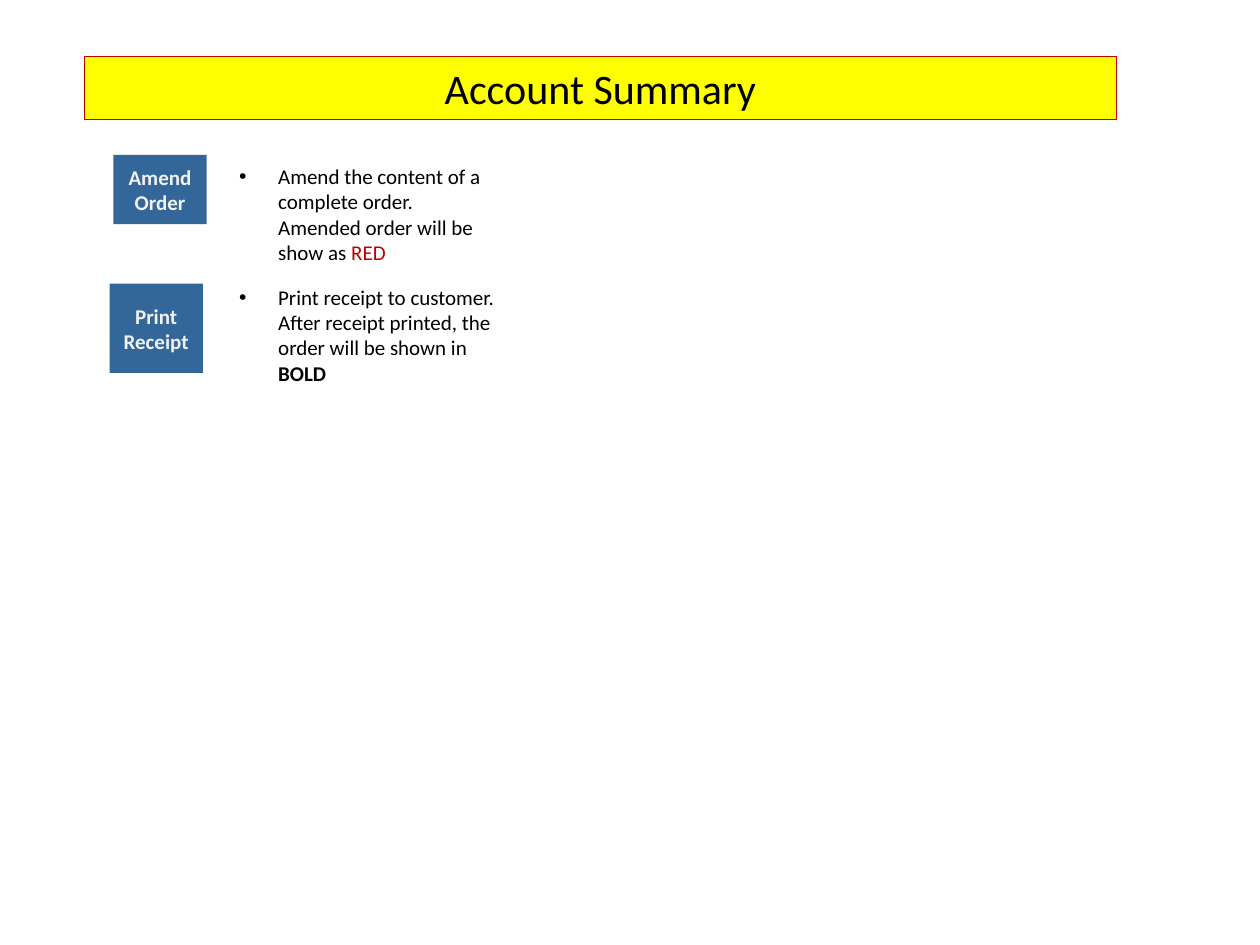
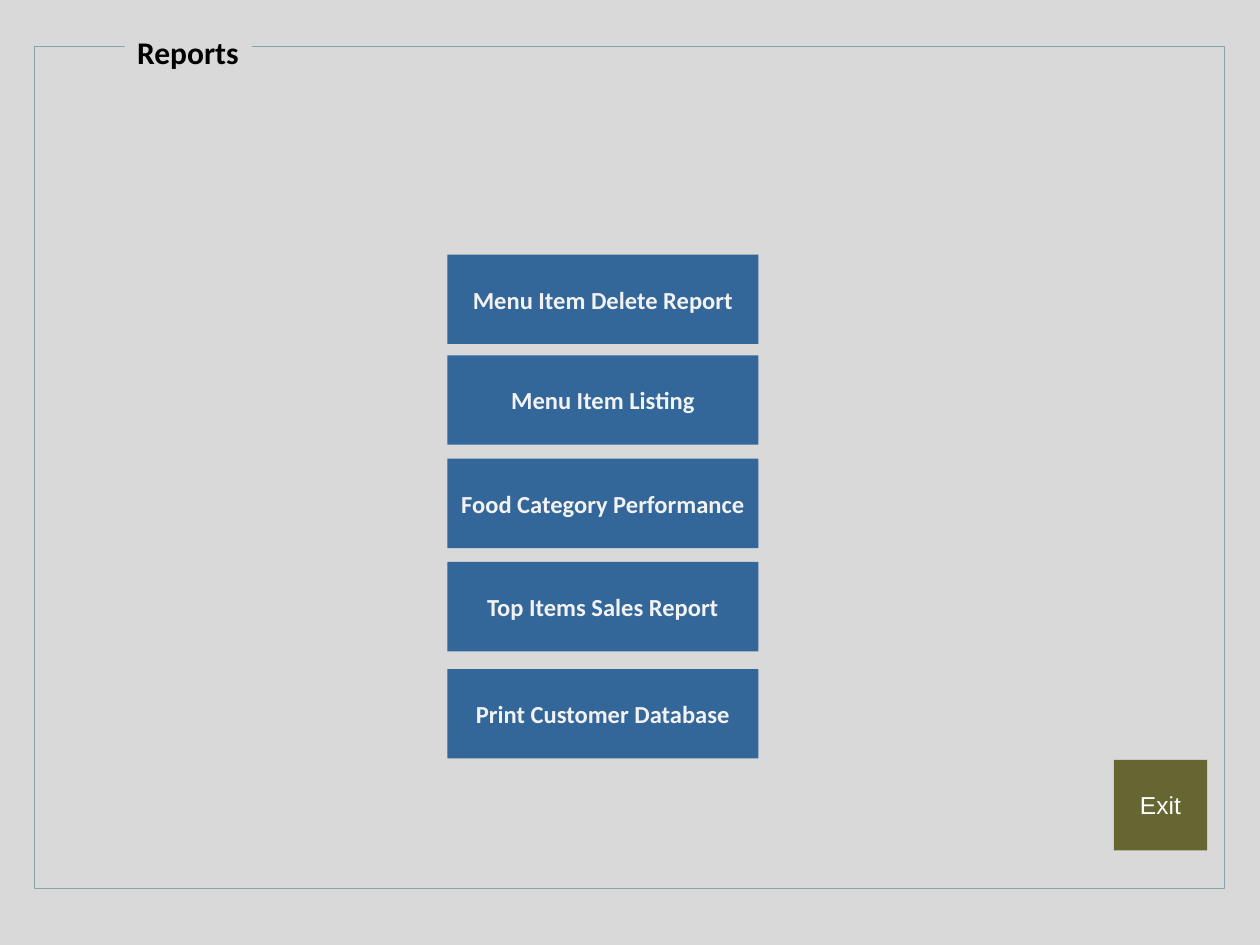
"""Build the account summary help slide and the reports menu slide."""
import dataclasses
from typing import Optional

import lxml.etree
import pptx
import pptx.dml.color
import pptx.enum.shapes
import pptx.enum.text
import pptx.oxml.ns
import pptx.presentation
import pptx.shapes.autoshape
import pptx.slide
import pptx.text.text
import pptx.util

Inches = pptx.util.Inches
RGBColor = pptx.dml.color.RGBColor
Align = pptx.enum.text.PP_ALIGN
Anchor = pptx.enum.text.MSO_ANCHOR
AutoSize = pptx.enum.text.MSO_AUTO_SIZE

BLACK = RGBColor(0x00, 0x00, 0x00)
WHITE = RGBColor(0xFF, 0xFF, 0xFF)
OFF_WHITE = RGBColor(0xF2, 0xF2, 0xF2)
YELLOW = RGBColor(0xFF, 0xFF, 0x00)
RED = RGBColor(0xC0, 0x00, 0x00)
BLUE = RGBColor(0x33, 0x66, 0x99)
OLIVE = RGBColor(0x66, 0x66, 0x33)
GREY = RGBColor(0xD9, 0xD9, 0xD9)
FRAME_GREY = RGBColor(0x89, 0xA4, 0xA7)

BUTTON_WIDTH = 0.74
REPORT_LEFT, REPORT_WIDTH, REPORT_HEIGHT = 3.55, 2.47, 0.71


@dataclasses.dataclass(frozen=True)
class Box:
    """Position and size in inches."""

    left: float
    top: float
    width: float
    height: float

    def lengths(self) -> list[pptx.util.Length]:
        """Return left, top, width and height as lengths."""
        return [Inches(value) for value in dataclasses.astuple(self)]


@dataclasses.dataclass(frozen=True)
class TextStyle:
    """Font settings of a whole paragraph."""

    size: int
    color: RGBColor = BLACK
    bold: bool = False
    name: str = "Calibri"


@dataclasses.dataclass(frozen=True)
class Button:
    """A filled button with a centred label."""

    label: str
    box: Box
    style: TextStyle
    fill: RGBColor = BLUE


@dataclasses.dataclass(frozen=True)
class Note:
    """A bulleted explanation that ends in a highlighted word."""

    box: Box
    text: str
    highlight: str
    color: Optional[RGBColor] = None
    bold: Optional[bool] = None


TITLE_STYLE = TextStyle(24)
NOTE_STYLE = TextStyle(12)
HEADING_STYLE = TextStyle(18, bold=True)
ORDER_STYLE = TextStyle(12, OFF_WHITE, bold=True)
REPORT_STYLE = TextStyle(14, OFF_WHITE, bold=True)
EXIT_STYLE = TextStyle(14, WHITE, name="Arial")

ORDER_BUTTONS = (
    Button("Amend\nOrder", Box(0.9, 1.23, BUTTON_WIDTH, 0.55), ORDER_STYLE),
    Button("Print\nReceipt", Box(0.87, 2.25, BUTTON_WIDTH, 0.71), ORDER_STYLE),
)
NOTES = (
    Note(
        Box(1.3, 1.25, 2.76, 0.9),
        "Amend the content of a complete order. Amended order will be show as ",
        "RED",
        color=RED,
    ),
    Note(
        Box(1.3, 2.21, 2.76, 0.9),
        "Print receipt to customer. After receipt printed, the order will be shown in ",
        "BOLD",
        bold=True,
    ),
)
REPORTS = (
    ("Menu Item Delete Report", 2.02),
    ("Menu Item Listing", 2.82),
    ("Food Category Performance", 3.64),
    ("Top Items Sales Report", 4.46),
    ("Print Customer Database", 5.31),
)
EXIT_BUTTON = Button("Exit", Box(8.84, 6.03, BUTTON_WIDTH, 0.72), EXIT_STYLE, OLIVE)


def apply_style(paragraph: pptx.text.text._Paragraph, style: TextStyle) -> None:
    """Set the paragraph font."""
    font = paragraph.font
    font.name = style.name
    font.size = pptx.util.Pt(style.size)
    font.bold = style.bold
    font.color.rgb = style.color


def add_rectangle(
    slide: pptx.slide.Slide,
    box: Box,
    fill: Optional[RGBColor] = None,
    line: Optional[RGBColor] = None,
    line_width: float = 0.75,
) -> pptx.shapes.autoshape.Shape:
    """Add a flat rectangle with an optional fill and outline."""
    shape = slide.shapes.add_shape(
        pptx.enum.shapes.MSO_SHAPE.RECTANGLE, *box.lengths()
    )
    shape.shadow.inherit = False
    if fill is None:
        shape.fill.background()
    else:
        shape.fill.solid()
        shape.fill.fore_color.rgb = fill
    if line is None:
        shape.line.fill.background()
    else:
        shape.line.color.rgb = line
        shape.line.width = pptx.util.Pt(line_width)
    return shape


def write_text(
    shape: pptx.shapes.autoshape.Shape,
    text: str,
    style: TextStyle,
    alignment: Align = Align.CENTER,
    anchor: Anchor = Anchor.MIDDLE,
    wrap: bool = False,
) -> None:
    """Fill a shape with uniformly styled paragraphs."""
    frame = shape.text_frame
    frame.text = text
    frame.word_wrap = wrap
    frame.vertical_anchor = anchor
    for paragraph in frame.paragraphs:
        paragraph.alignment = alignment
        apply_style(paragraph, style)


def add_button(slide: pptx.slide.Slide, button: Button) -> None:
    """Draw one button."""
    shape = add_rectangle(slide, button.box, button.fill)
    write_text(shape, button.label, button.style)


def add_bullet(paragraph: pptx.text.text._Paragraph) -> None:
    """Give a paragraph a hanging black bullet."""
    paragraph.level = 1
    properties = paragraph._p.get_or_add_pPr()
    properties.set("marL", str(Inches(0.81)))
    properties.set("indent", str(Inches(-0.31)))
    qualified = pptx.oxml.ns.qn
    color = lxml.etree.SubElement(properties, qualified("a:buClr"))
    lxml.etree.SubElement(color, qualified("a:srgbClr"), val=str(BLACK))
    lxml.etree.SubElement(properties, qualified("a:buFont"), typeface="Arial")
    lxml.etree.SubElement(properties, qualified("a:buChar"), char="•")


def add_note(slide: pptx.slide.Slide, note: Note) -> None:
    """Draw one bulleted explanation."""
    frame = slide.shapes.add_textbox(*note.box.lengths()).text_frame
    frame.word_wrap = True
    frame.auto_size = AutoSize.SHAPE_TO_FIT_TEXT
    paragraph = frame.paragraphs[0]
    add_bullet(paragraph)
    apply_style(paragraph, NOTE_STYLE)
    paragraph.add_run().text = note.text
    highlight = paragraph.add_run()
    highlight.text = note.highlight
    highlight.font.bold = note.bold
    if note.color is not None:
        highlight.font.color.rgb = note.color


def add_blank_slide(
    presentation: pptx.presentation.Presentation,
) -> pptx.slide.Slide:
    """Append a slide with the blank layout."""
    return presentation.slides.add_slide(presentation.slide_layouts[6])


def build_account_summary(presentation: pptx.presentation.Presentation) -> None:
    """Build the slide that explains the order buttons."""
    slide = add_blank_slide(presentation)
    title = add_rectangle(slide, Box(0.67, 0.45, 8.19, 0.5), YELLOW, RED)
    write_text(title, "Account Summary", TITLE_STYLE, anchor=Anchor.TOP, wrap=True)
    title.text_frame.auto_size = AutoSize.SHAPE_TO_FIT_TEXT
    for button, note in zip(ORDER_BUTTONS, NOTES):
        add_button(slide, button)
        add_note(slide, note)


def build_reports(presentation: pptx.presentation.Presentation) -> None:
    """Build the reports menu slide."""
    slide = add_blank_slide(presentation)
    add_rectangle(slide, Box(0, 0, 10, 7.5), GREY)
    add_rectangle(slide, Box(0.27, 0.37, 9.45, 6.68), line=FRAME_GREY, line_width=0.5)
    heading = add_rectangle(slide, Box(0.99, 0.21, 1.01, 0.4), GREY)
    write_text(heading, "Reports", HEADING_STYLE, Align.LEFT, Anchor.TOP)
    heading.text_frame.auto_size = AutoSize.SHAPE_TO_FIT_TEXT
    add_button(slide, EXIT_BUTTON)
    for label, top in REPORTS:
        box = Box(REPORT_LEFT, top, REPORT_WIDTH, REPORT_HEIGHT)
        add_button(slide, Button(label, box, REPORT_STYLE))


def main() -> None:
    """Create and save the presentation."""
    presentation = pptx.Presentation()
    presentation.slide_width = Inches(10)
    presentation.slide_height = Inches(7.5)
    build_account_summary(presentation)
    build_reports(presentation)
    presentation.save("out.pptx")


if __name__ == "__main__":
    main()
